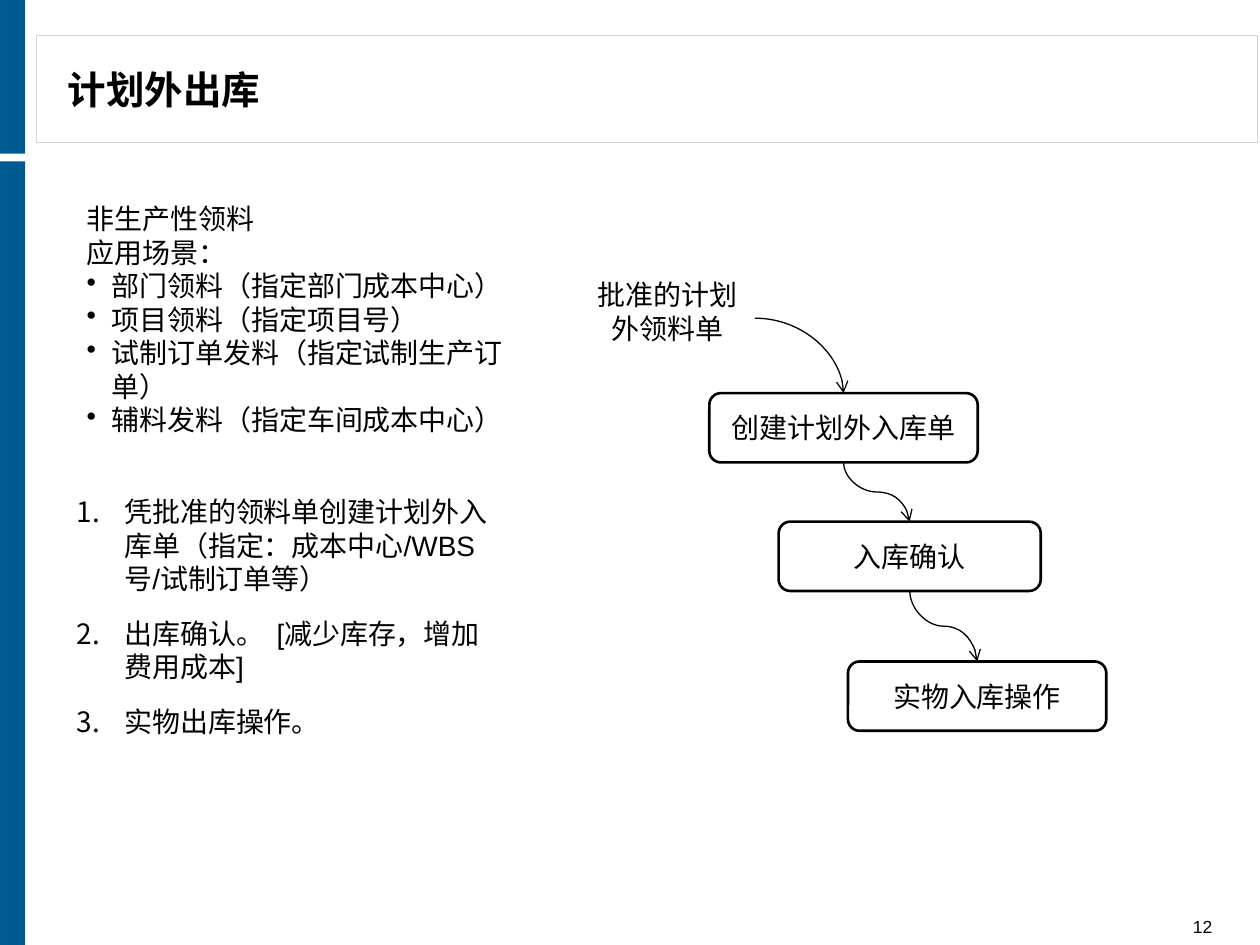
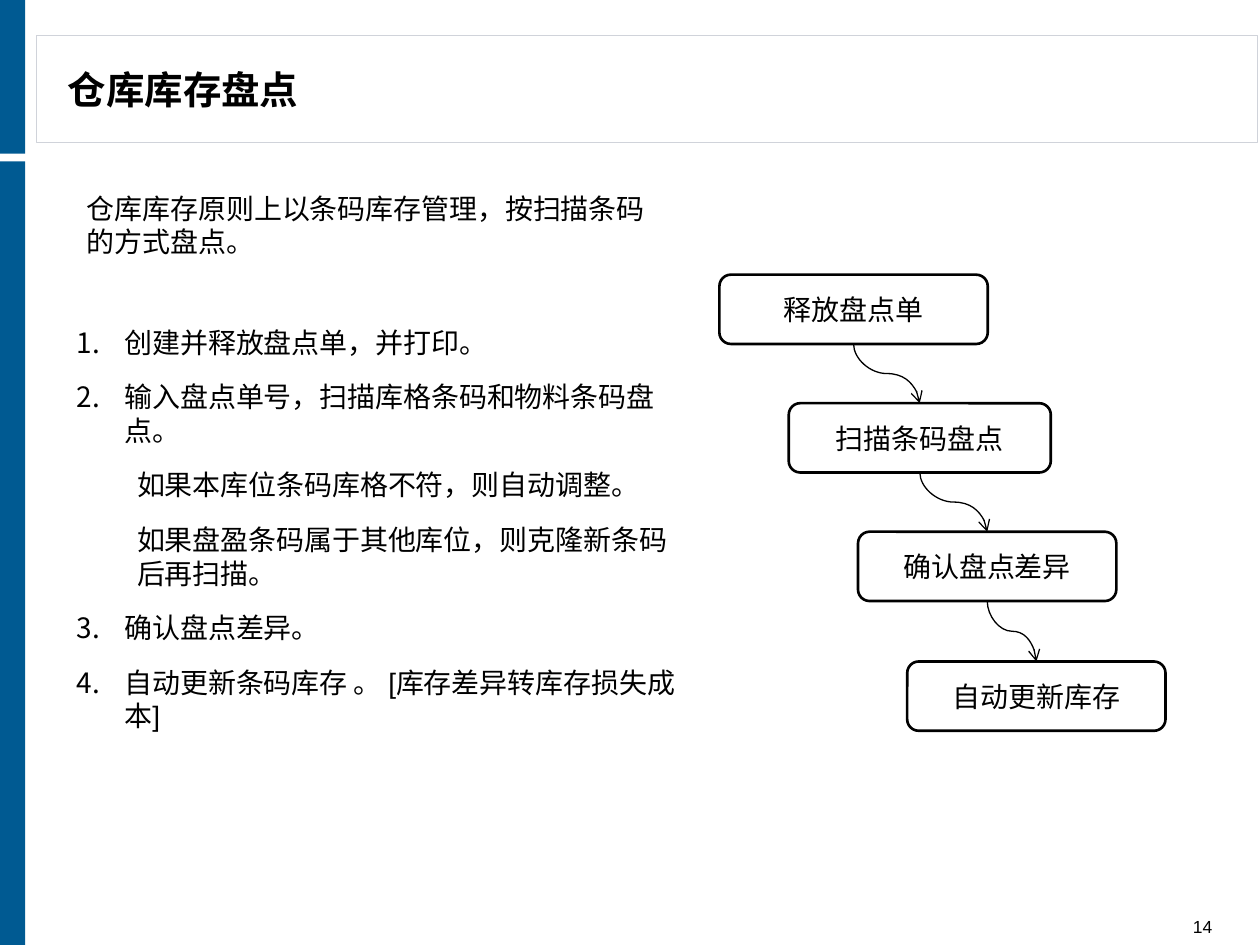
from dataclasses import dataclass

from lxml.etree import SubElement
from pptx import Presentation
from pptx.dml.color import RGBColor
from pptx.enum.lang import MSO_LANGUAGE_ID as LANG
from pptx.enum.shapes import MSO_CONNECTOR as CONNECTOR, MSO_SHAPE as SHAPE
from pptx.enum.text import MSO_ANCHOR as ANCHOR, MSO_AUTO_SIZE as AUTO, PP_ALIGN as ALIGN
from pptx.oxml.ns import qn
from pptx.util import Pt

PX = 9144  # EMU; 100 px to the inch
TOP, BOTTOM, RIGHT = 0, 2, 3  # connection sites
BOX_HEIGHT = 55


@dataclass(frozen=True)
class Theme:
    font: str = "Arial"
    ink: str = "000000"
    paper: str = "FFFFFF"
    band: str = "005A92"
    frame: str = "D0D3DA"
    title_size: int = 22
    body_size: int = 16
    page_size: int = 10
    thin: float = 0.75
    thick: float = 1.5


@dataclass(frozen=True)
class ParaStyle:
    margin: int = 0
    indent: int = 0
    gap: int = 0
    level: int = 0
    bullet: tuple = ()


PLAIN = ParaStyle()
BULLET = ParaStyle(20, -20, bullet=("a:buChar", "char", "•"))
STEP = ParaStyle(38, -38, gap=6, bullet=("a:buAutoNum", "type", "arabicPeriod"))
DETAIL = ParaStyle(48, gap=6, level=1)


class Deck:
    def __init__(self, theme):
        self.theme = theme
        self.prs = Presentation()
        self.prs.slide_width, self.prs.slide_height = 1000 * PX, 750 * PX
        self.s = None

    def new_slide(self, title, page):
        t = self.theme
        self.s = self.prs.slides.add_slide(self.prs.slide_layouts[6])
        self.shape(SHAPE.RECTANGLE, (29, 28, 969, 85), t.paper, t.frame, t.thin)
        for top, height in ((128, 622), (0, 122)):
            self.shape(SHAPE.RECTANGLE, (0, top, 20, height), t.band)
        self.text_box((44, 31, 630, 79), [(PLAIN, title)], anchor=ANCHOR.MIDDLE,
                      size=t.title_size, bold=True)
        self.text_box((878, 726, 94, 18), [(PLAIN, str(page))], anchor=ANCHOR.BOTTOM,
                      size=t.page_size, align=ALIGN.RIGHT)

    def shape(self, kind, box, fill, line=None, width=0):
        sp = self.s.shapes.add_shape(kind, *(v * PX for v in box))
        sp.shadow.inherit = False
        sp.fill.solid()
        sp.fill.fore_color.rgb = RGBColor.from_string(fill)
        if line:
            sp.line.color.rgb = RGBColor.from_string(line)
            sp.line.width = Pt(width)
        else:
            sp.line.fill.background()
        return sp

    def add_text(self, sp, paras, size=None, bold=False, align=ALIGN.LEFT,
                 anchor=ANCHOR.MIDDLE, pad=0):
        """Fill a shape with (style, text) paragraphs."""
        tf = sp.text_frame
        tf.word_wrap = True
        tf.vertical_anchor = anchor
        tf.margin_left = tf.margin_right = 10 * PX
        tf.margin_top = tf.margin_bottom = pad * PX
        for i, (style, text) in enumerate(paras):
            p = tf.add_paragraph() if i else tf.paragraphs[0]
            p.alignment = align
            self.format_paragraph(p, style)
            r = p.add_run()
            r.text = text
            r.font.name = self.theme.font
            r.font.size = Pt(size or self.theme.body_size)
            r.font.bold = bold
            r.font.color.rgb = RGBColor.from_string(self.theme.ink)
            r.font.language_id = LANG.SIMPLIFIED_CHINESE

    def format_paragraph(self, p, style):
        p.level = style.level
        p.space_before = p.space_after = Pt(style.gap)
        pPr = p._p.get_or_add_pPr()
        pPr.set("marL", str(style.margin * PX))
        pPr.set("indent", str(style.indent * PX))
        if style.bullet:
            tag, key, value = style.bullet
            SubElement(pPr, qn(tag)).set(key, value)

    def text_box(self, box, paras, **options):
        sp = self.s.shapes.add_textbox(*(v * PX for v in box))
        self.add_text(sp, paras, **options)
        return sp

    def note(self, box, paras):
        sp = self.text_box(box, paras, anchor=ANCHOR.TOP, pad=5)
        sp.text_frame.auto_size = AUTO.SHAPE_TO_FIT_TEXT

    def document(self, box, paras, align=ALIGN.LEFT):
        sp = self.shape(SHAPE.FLOWCHART_DOCUMENT, box, self.theme.paper)
        self.add_text(sp, paras, align=align)
        return sp

    def flow(self, boxes):
        """Draw (text, left, top, width) boxes joined in order; return the first."""
        t = self.theme
        made = []
        for text, left, top, width in boxes:
            sp = self.shape(SHAPE.ROUNDED_RECTANGLE, (left, top, width, BOX_HEIGHT),
                            t.paper, t.ink, t.thick)
            self.add_text(sp, [(PLAIN, text)], align=ALIGN.CENTER)
            made.append(sp)
        for a, b in zip(made, made[1:]):
            self.s_curve(a, b)
        return made[0]

    def curve(self, a, site, b):
        c = self.s.shapes.add_connector(CONNECTOR.CURVE, 0, 0, 0, 0)
        c.begin_connect(a, site)
        c.end_connect(b, TOP)
        c.line.color.rgb = RGBColor.from_string(self.theme.ink)
        c.line.width = Pt(self.theme.thin)
        spPr = c._element.spPr
        SubElement(spPr.find(qn("a:ln")), qn("a:tailEnd")).set("type", "arrow")
        SubElement(spPr, qn("a:effectLst"))
        return c

    def s_curve(self, a, b):
        """Curve that leaves a downwards and enters b from above."""
        c = self.curve(a, BOTTOM, b)
        dx, dy = c.width, c.height
        c.left, c.top = c.left + (dx - dy) // 2, c.top + (dy - dx) // 2
        c.width, c.height = dy, dx
        xfrm = c._element.spPr.find(qn("a:xfrm"))
        xfrm.set("rot", str(270 * 60000))
        xfrm.set("flipH", "1")

    def quarter_curve(self, a, b):
        """Curve that leaves a to the right and enters b from above."""
        c = self.curve(a, RIGHT, b)
        c._element.spPr.find(qn("a:prstGeom")).set("prst", "curvedConnector2")


def unplanned_issue(deck):
    deck.new_slide("计划外出库", 12)
    first = deck.flow([
        ("创建计划外入库单", 563, 312, 213),
        ("入库确认", 618, 414, 208),
        ("实物入库操作", 673, 525, 205),
    ])
    request = deck.document((461, 225, 138, 55), [(PLAIN, "批准的计划外领料单")],
                            align=ALIGN.CENTER)
    deck.quarter_curve(request, first)
    deck.document((51, 344, 354, 362), [
        (STEP, "凭批准的领料单创建计划外入库单（指定：成本中心/WBS号/试制订单等）"),
        (STEP, "出库确认。  [减少库存，增加费用成本]"),
        (STEP, "实物出库操作。"),
    ])
    deck.note((59, 155, 386, 172), [
        (PLAIN, "非生产性领料"),
        (PLAIN, "应用场景："),
        (BULLET, "部门领料（指定部门成本中心）"),
        (BULLET, "项目领料（指定项目号）"),
        (BULLET, "试制订单发料（指定试制生产订单）"),
        (BULLET, "辅料发料（指定车间成本中心）"),
    ])


def stock_count(deck):
    deck.new_slide("仓库库存盘点", 14)
    deck.document((51, 265, 496, 386), [
        (STEP, "创建并释放盘点单，并打印。"),
        (STEP, "输入盘点单号，扫描库格条码和物料条码盘点。"),
        (DETAIL, "如果本库位条码库格不符，则自动调整。"),
        (DETAIL, "如果盘盈条码属于其他库位，则克隆新条码后再扫描。"),
        (STEP, "确认盘点差异。"),
        (STEP, "自动更新条码库存 。 [库存差异转库存损失成本]"),
    ])
    deck.flow([
        ("释放盘点单", 571, 218, 213),
        ("扫描条码盘点", 626, 320, 208),
        ("确认盘点差异", 681, 422, 205),
        ("自动更新库存", 720, 525, 205),
    ])
    deck.note((59, 147, 465, 64),
              [(PLAIN, "仓库库存原则上以条码库存管理，按扫描条码的方式盘点。")])


def main():
    deck = Deck(Theme())
    unplanned_issue(deck)
    stock_count(deck)
    deck.prs.save("out.pptx")


if __name__ == "__main__":
    main()
